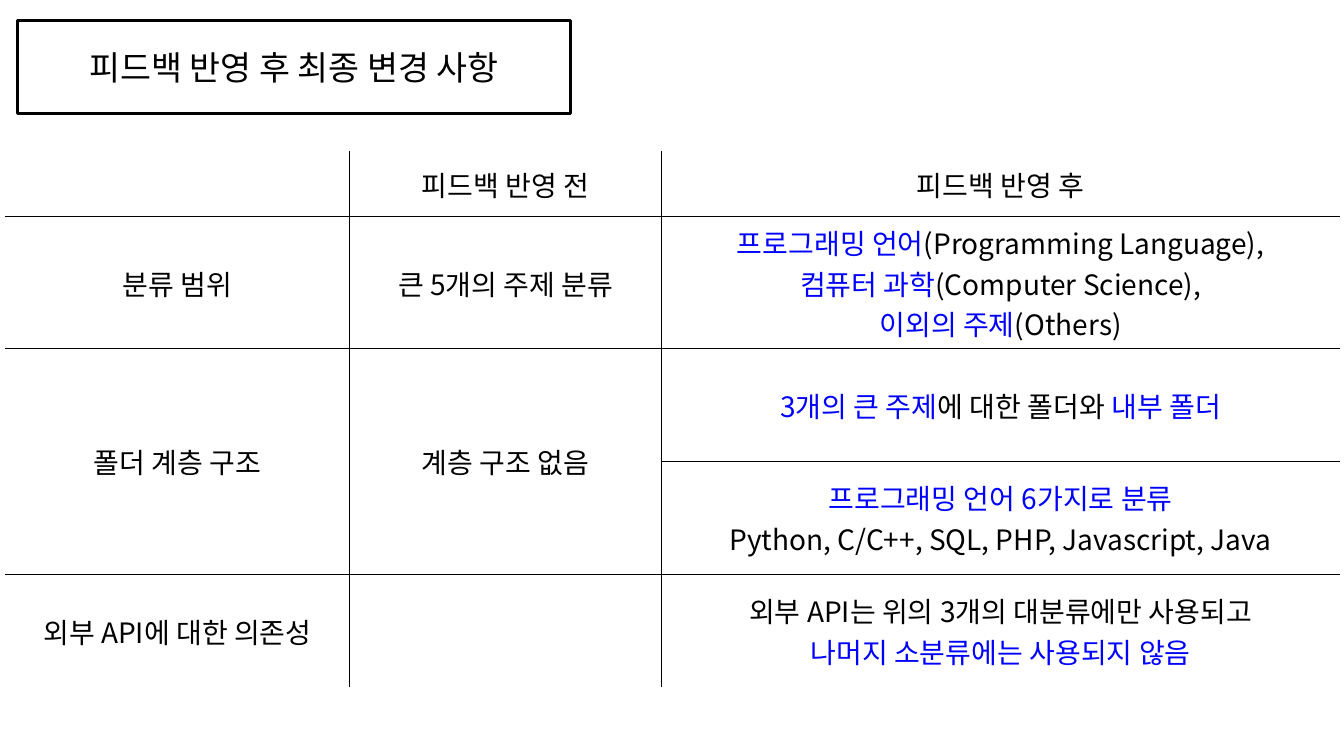
"""Build a slide that tables the final changes made after feedback."""
from dataclasses import dataclass

import pptx
import pptx.dml.color
import pptx.enum.shapes
import pptx.enum.text
import pptx.oxml
import pptx.oxml.ns
import pptx.util
from lxml import etree
from pptx.util import Inches


@dataclass(frozen=True)
class Theme:
    font: str = "Noto Sans CJK KR"
    black: str = "000000"
    blue: str = "0000FF"
    title_size: int = 24
    body_size: int = 20


theme = Theme()


def write_lines(text_frame, lines, size):
    """Write centred lines of (text, colour) runs."""
    text_frame.word_wrap = True
    for index, line in enumerate(lines):
        paragraph = text_frame.add_paragraph() if index else text_frame.paragraphs[0]
        paragraph.alignment = pptx.enum.text.PP_ALIGN.CENTER
        paragraph.font.name = theme.font
        paragraph.font.size = pptx.util.Pt(size)
        properties = paragraph._p.pPr.find(pptx.oxml.ns.qn("a:defRPr"))
        etree.SubElement(properties, pptx.oxml.ns.qn("a:ea"), typeface=theme.font)
        for text, colour in line:
            run = paragraph.add_run()
            run.text = text
            run.font.color.rgb = pptx.dml.color.RGBColor.from_string(colour)


def set_borders(cell, drawn_edges):
    """Draw the named edges of a cell and clear the others."""
    properties = cell._tc.get_or_add_tcPr()
    for edge in "LRTB":
        fill = (f'<a:solidFill><a:srgbClr val="{theme.black}"/></a:solidFill>'
                if edge in drawn_edges else "<a:noFill/>")
        properties.append(pptx.oxml.parse_xml(
            f'<a:ln{edge} {pptx.oxml.ns.nsdecls("a")} w="{pptx.util.Pt(1)}">{fill}</a:ln{edge}>'))


presentation = pptx.Presentation()
presentation.slide_width = Inches(13.33)
presentation.slide_height = Inches(7.5)
slide = presentation.slides.add_slide(presentation.slide_layouts[6])

title_box = slide.shapes.add_shape(
    pptx.enum.shapes.MSO_SHAPE.RECTANGLE, Inches(0.17), Inches(0.2), Inches(5.49), Inches(0.93))
title_box.shadow.inherit = False
title_box.fill.background()
title_box.line.color.rgb = pptx.dml.color.RGBColor.from_string(theme.black)
title_box.line.width = pptx.util.Pt(2)
title_box.text_frame.vertical_anchor = pptx.enum.text.MSO_ANCHOR.MIDDLE
write_lines(title_box.text_frame, [[("피드백 반영 후 최종 변경 사항", theme.black)]], theme.title_size)

column_widths = [3.42, 3.09, 6.73]
row_heights = [0.65, 1.25, 1.12, 1.12, 1.12]
black, blue = theme.black, theme.blue
rows = [
    [[], [[("피드백 반영 전", black)]], [[("피드백 반영 후", black)]]],
    [[[("분류 범위", black)]], [[("큰 5개의 주제 분류", black)]],
     [[("프로그래밍 언어", blue), ("(Programming Language),", black)],
      [("컴퓨터 과학", blue), ("(Computer Science),", black)],
      [("이외의 주제", blue), ("(Others)", black)]]],
    [[[("폴더 계층 구조", black)]], [[("계층 구조 없음", black)]],
     [[("3개의 큰 주제", blue), ("에 대한 폴더와 ", black), ("내부 폴더", blue)]]],
    [[], [],
     [[("프로그래밍 언어 6가지로 분류", blue)],
      [("Python, C/C++, SQL, PHP, Javascript, Java", black)]]],
    [[[("외부 API에 대한 의존성", black)]], [],
     [[("외부 API는 위의 3개의 대분류에만 사용되고", black)],
      [("나머지 소분류에는 사용되지 않음", blue)]]],
]

table = slide.shapes.add_table(
    len(rows), len(column_widths), Inches(0.05), Inches(1.5),
    Inches(sum(column_widths)), Inches(sum(row_heights))).table
table.first_row = False
table.horz_banding = False
for column, width in zip(table.columns, column_widths):
    column.width = Inches(width)
for row, height in zip(table.rows, row_heights):
    row.height = Inches(height)
for column_index in range(2):
    table.cell(2, column_index).merge(table.cell(3, column_index))

for row_index, row in enumerate(rows):
    for column_index, lines in enumerate(row):
        cell = table.cell(row_index, column_index)
        inner_edges = {
            "L": column_index > 0,
            "R": column_index < len(column_widths) - 1,
            "T": row_index > 0 and not cell.is_spanned,
            "B": row_index < len(rows) - 1,
        }
        set_borders(cell, [edge for edge, drawn in inner_edges.items() if drawn])
        cell.fill.background()
        cell.vertical_anchor = pptx.enum.text.MSO_ANCHOR.MIDDLE
        write_lines(cell.text_frame, lines, theme.body_size)

presentation.save("out.pptx")
